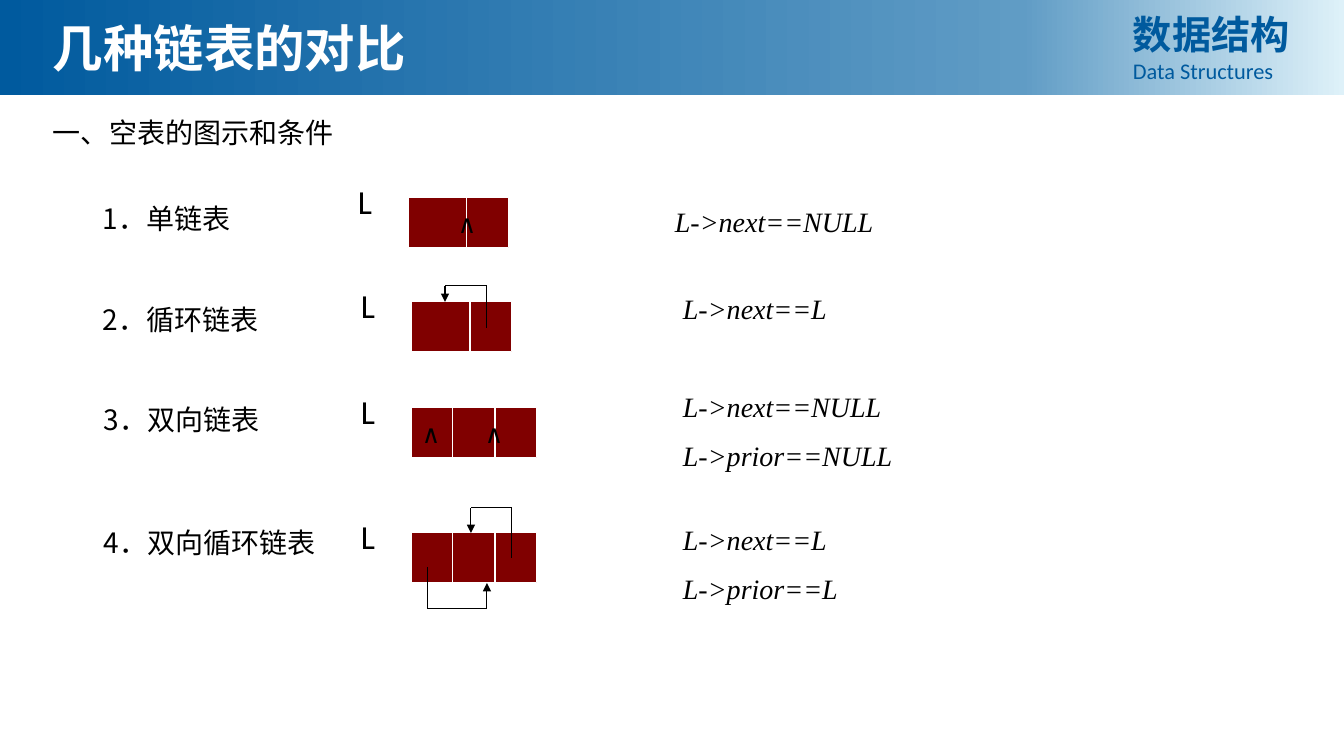
from copy import deepcopy
from itertools import pairwise

from pptx import Presentation
from pptx.dml.color import RGBColor
from pptx.enum.shapes import MSO_CONNECTOR, MSO_SHAPE
from pptx.enum.text import MSO_ANCHOR, PP_ALIGN
from pptx.oxml.ns import qn
from pptx.util import Emu, Pt
from lxml.etree import SubElement

WHITE = RGBColor(0xFF, 0xFF, 0xFF)
BLACK = RGBColor(0x00, 0x00, 0x00)
MAROON = RGBColor(0x80, 0x00, 0x00)
BLUE = RGBColor(0x00, 0x5A, 0x9E)
MID_BLUE = RGBColor(0x60, 0x9C, 0xC5)
PALE_BLUE = RGBColor(0xDE, 0xF1, 0xF9)

CHINESE = "Noto Sans CJK SC"
LATIN = "Calibri"
CODE = "Times New Roman"
NODE_HEIGHT = 50


def px(length):
    return Emu(round(length * 914400 / 100.8))


def style(para, size, name, color=BLACK, bold=False, italic=False):
    font = para.font
    font.size, font.name = Pt(size), name
    font.bold, font.italic = bold, italic
    font.color.rgb = color
    defaults = para._p.get_or_add_pPr().get_or_add_defRPr()
    SubElement(defaults, qn("a:ea")).set("typeface", name)


def add_text(page, place, lines, size, name, inset=True, **look):
    box = page.shapes.add_textbox(*map(px, place))
    frame = box.text_frame
    frame.word_wrap = True
    if not inset:
        frame.margin_left = frame.margin_right = 0
        frame.margin_top = frame.margin_bottom = 0
    for index, line in enumerate(lines):
        para = frame.add_paragraph() if index else frame.paragraphs[0]
        para.text = line
        if index:
            para.space_before = Pt(11)
        style(para, size, name, **look)
    return box


def add_line(page, start, end, color, arrow=False):
    line = page.shapes.add_connector(MSO_CONNECTOR.STRAIGHT, *map(px, (*start, *end)))
    line.line.color.rgb = color
    line.line.width = Pt(0.75)
    properties = line._element.spPr
    if arrow:
        SubElement(properties.find(qn("a:ln")), qn("a:tailEnd")).set("type", "triangle")
    SubElement(properties, qn("a:effectLst"))


def add_loop(page, points):
    segments = list(pairwise(points))
    for segment in segments:
        add_line(page, *segment, BLACK, arrow=segment == segments[-1])


def add_node(page, left, top, width, dividers, marks=()):
    node = page.shapes.add_shape(MSO_SHAPE.RECTANGLE, *map(px, (left, top, width, NODE_HEIGHT)))
    node.shadow.inherit = False
    node.fill.solid()
    node.fill.fore_color.rgb = MAROON
    node.line.color.rgb = WHITE
    node.line.width = Pt(0.75)
    for offset in dividers:
        add_line(page, (left + offset, top), (left + offset, top + NODE_HEIGHT), WHITE)
    for offset in marks:
        place = (left + offset - 12, top, 24, NODE_HEIGHT)
        mark = add_text(page, place, ["∧"], 18, LATIN, inset=False)
        mark.text_frame.vertical_anchor = MSO_ANCHOR.MIDDLE
        mark.text_frame.paragraphs[0].alignment = PP_ALIGN.CENTER
    add_text(page, (left - 50, top - 17, 42, 40), ["L"], 24, LATIN, inset=False)


def add_banner(page):
    band = page.shapes.add_shape(MSO_SHAPE.RECTANGLE, *map(px, (0, 0, 1344, 95)))
    band.shadow.inherit = False
    band.line.fill.background()
    band.fill.gradient()
    band.fill.gradient_angle = 0
    stops = band._element.spPr.find(qn("a:gradFill")).find(qn("a:gsLst"))
    stops.insert(1, deepcopy(stops[0]))
    colors = [(0, BLUE), (0.76, MID_BLUE), (1, PALE_BLUE)]
    for stop, (position, color) in zip(band.fill.gradient_stops, colors):
        stop.position = position
        stop.color.rgb = color
    add_text(page, (43, 12, 640, 72), ["几种链表的对比"], 36, CHINESE, color=WHITE, bold=True)


def add_course_name(page):
    box = page.shapes.add_textbox(*map(px, (1123, 5, 193, 85)))
    frame = box.text_frame
    frame.word_wrap = True
    chinese, english = frame.paragraphs[0], frame.add_paragraph()
    chinese.text, english.text = "数据结构", "Data Structures"
    chinese.alignment = english.alignment = PP_ALIGN.JUSTIFY
    style(chinese, 28, CHINESE, color=BLUE, bold=True)
    style(english, 16, LATIN, color=BLUE)


def main():
    deck = Presentation()
    deck.slide_width, deck.slide_height = px(1344), px(756)
    page = deck.slides.add_slide(deck.slide_layouts[6])

    add_text(page, (43, 111, 580, 44), ["一、空表的图示和条件"], 20, CHINESE)
    labels = [
        (93, 197, "1．单链表"),
        (93, 298, "2．循环链表"),
        (94, 398, "3．双向链表"),
        (94, 521, "4．双向循环链表"),
    ]
    for left, top, label in labels:
        add_text(page, (left, top, 252, 43), [label], 20, CHINESE)

    add_node(page, 408, 198, 101, [59], [59])
    add_node(page, 411, 302, 101, [59])
    add_node(page, 411, 408, 126, [42, 84], [20, 83])
    add_node(page, 411, 533, 126, [42, 84])
    add_loop(page, [(487, 328), (487, 286), (445, 286), (445, 302)])
    add_loop(page, [(512, 558), (512, 508), (471, 508), (471, 533)])
    add_loop(page, [(428, 567), (428, 609), (487, 609), (487, 583)])

    conditions = [
        (665, 200, 43, ["L->next==NULL"]),
        (673, 287, 43, ["L->next==L"]),
        (673, 385, 94, ["L->next==NULL", "L->prior==NULL"]),
        (673, 518, 94, ["L->next==L", "L->prior==L"]),
    ]
    for left, top, height, lines in conditions:
        add_text(page, (left, top, 277, height), lines, 20, CODE, italic=True)

    add_banner(page)
    add_course_name(page)
    deck.save("out.pptx")


if __name__ == "__main__":
    main()
